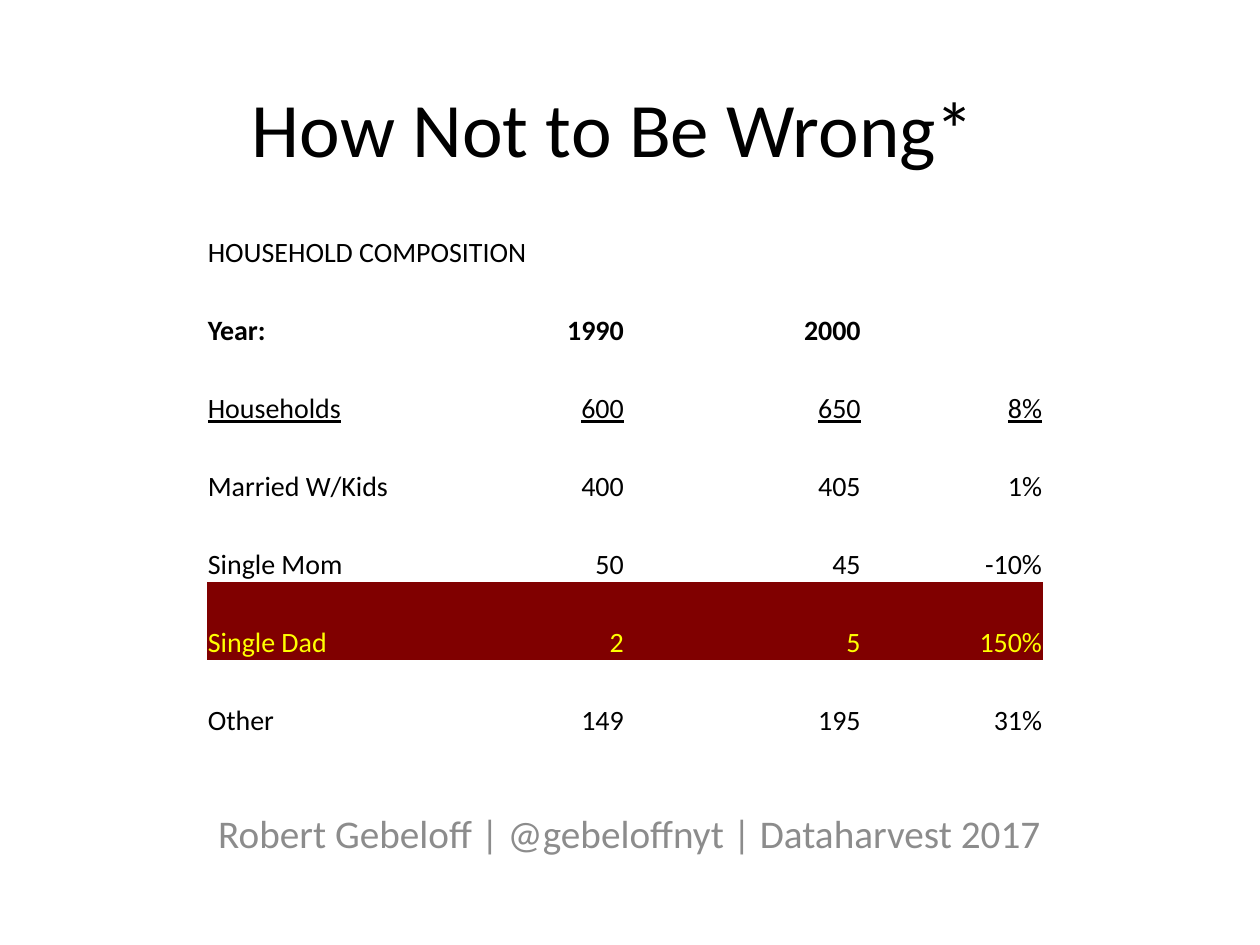
from pptx import Presentation
from pptx import util as u
from pptx.dml import color
from pptx.enum import text

HUES = {"ink": "000000", "grey": "8C8C8C", "red": "800000", "gold": "FFFF00"}
PLAIN_GRID = "{2D5ABB26-0587-4C30-8999-92F81FD0307C}"
LEFT, MID, RIGHT = (text.PP_ALIGN.LEFT, text.PP_ALIGN.CENTER,
                    text.PP_ALIGN.RIGHT)

# Each row: its cells, then the format values that set it apart
ROWS = [
    (["HOUSEHOLD COMPOSITION", "", "", ""], {}),
    (["Year:", "1990", "2000", ""], {"bold": True}),
    (["Households", "600", "650", "8%"], {"underline": True}),
    (["Married W/Kids", "400", "405", "1%"], {}),
    (["Single Mom", "50", "45", "-10%"], {}),
    (["Single Dad", "2", "5", "150%"], {"hue": "gold", "fill": "red"}),
    (["Other", "149", "195", "31%"], {}),
]


def hue(name):
    return color.RGBColor.from_string(HUES[name])


def assign(thing, values):
    for name, value in values.items():
        setattr(thing, name, value)


class Deck:
    font = "Calibri"

    def __init__(self, wide, high):
        self.show = Presentation()
        assign(self.show, {"slide_width": u.Inches(wide),
                           "slide_height": u.Inches(high)})
        self.wide, self.high = wide, high
        self.slide = self.show.slides.add_slide(self.show.slide_layouts[6])

    def place(self, x, y, w, h):
        """Turn shares of the slide's size into lengths."""
        return [u.Inches(share * side) for share, side in
                zip((x, y, w, h), (self.wide, self.high) * 2)]

    def letter(self, frame, words, size, ink="ink", align=MID, **looks):
        """Put one styled run into the first paragraph."""
        para = frame.paragraphs[0]
        para.alignment = align
        run = para.add_run()
        run.text = words
        assign(run.font, {"name": self.font, "size": u.Pt(size), **looks})
        run.font.color.rgb = hue(ink)

    def label(self, area, words, size, ink="ink",
              anchor=text.MSO_ANCHOR.TOP):
        frame = self.slide.shapes.add_textbox(*self.place(*area)).text_frame
        assign(frame, {"word_wrap": True, "vertical_anchor": anchor})
        self.letter(frame, words, size, ink)

    def table(self, area, rows, shares, size):
        box = self.place(*area)
        grid = self.slide.shapes.add_table(len(rows), len(shares), *box).table
        assign(grid, {"first_row": False, "horz_banding": False})
        grid._tbl.tblPr[0].text = PLAIN_GRID
        for col, share in zip(grid.columns, shares):
            col.width = int(box[2] * share / sum(shares))
        edge = u.Inches(0.01)
        for r, (words, looks) in enumerate(rows):
            looks = dict(looks)
            ink, fill = looks.pop("hue", "ink"), looks.pop("fill", None)
            for c, word in enumerate(words):
                cell = grid.cell(r, c)
                assign(cell, {"margin_left": edge, "margin_right": edge,
                              "margin_top": edge, "margin_bottom": 0,
                              "vertical_anchor": text.MSO_ANCHOR.BOTTOM})
                if fill:
                    cell.fill.solid()
                    cell.fill.fore_color.rgb = hue(fill)
                else:
                    cell.fill.background()
                if word:
                    self.letter(cell.text_frame, word, size, ink,
                                RIGHT if c else LEFT, **looks)
        grid.cell(0, 0).merge(grid.cell(0, 1))


def main():
    deck = Deck(10, 7.5)
    deck.label((0.075, 0.2 / 7.5, 0.85, 1.61 / 7.5),
               "How Not to Be Wrong*\t", 44, anchor=text.MSO_ANCHOR.MIDDLE)
    deck.label((0.15, 0.85, 0.7, 0.075),
               "Robert Gebeloff | @gebeloffnyt | Dataharvest 2017",
               22.4, "grey")
    deck.table((0.164, 1.52 / 7.5, 0.664, 4.34 / 7.5), ROWS,
               (1.88, 1.44) * 2, 16)
    deck.show.save("out.pptx")


if __name__ == "__main__":
    main()
